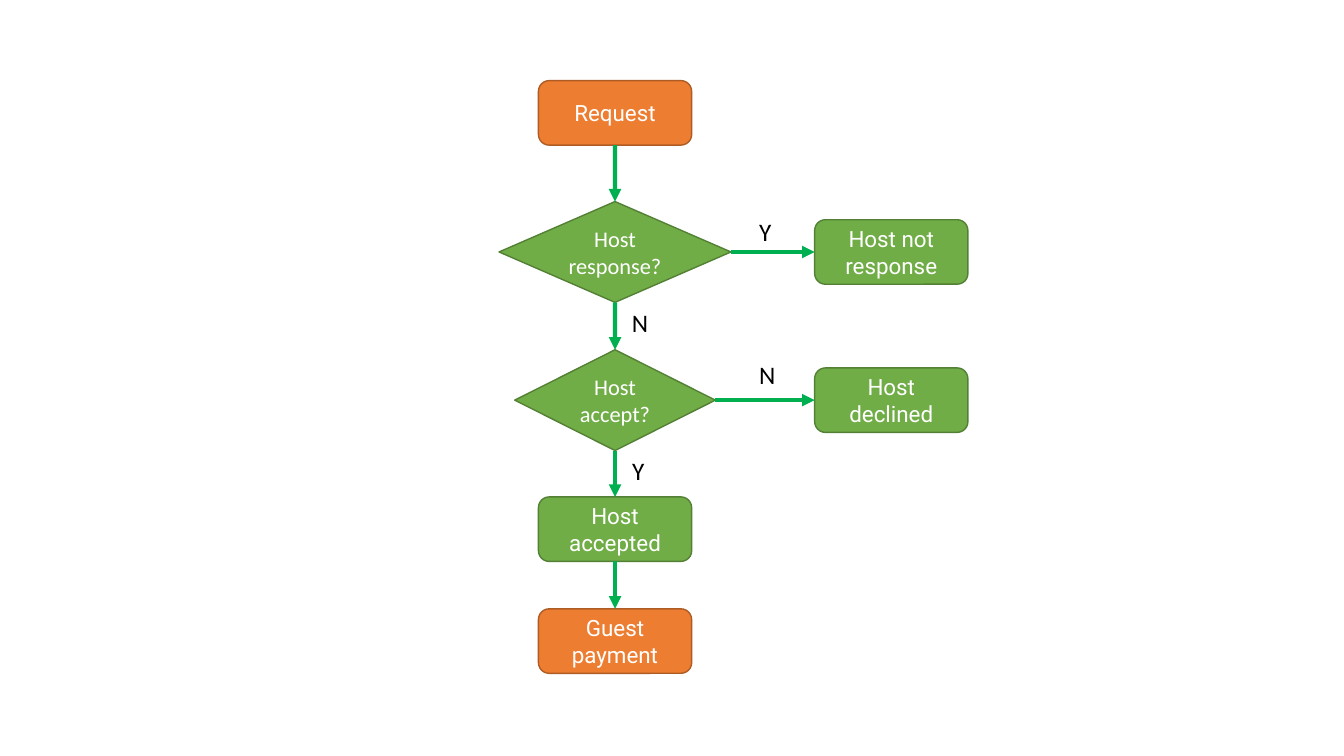
from lxml import etree
from pptx import Presentation
from pptx.dml.color import RGBColor
from pptx.enum.shapes import MSO_CONNECTOR, MSO_SHAPE
from pptx.enum.text import MSO_ANCHOR, PP_ALIGN
from pptx.oxml.ns import qn
from pptx.util import Inches, Pt

STRAIGHT = MSO_CONNECTOR.STRAIGHT
ROUNDED, DIAMOND = MSO_SHAPE.ROUNDED_RECTANGLE, MSO_SHAPE.DIAMOND
MIDDLE, TOP = MSO_ANCHOR.MIDDLE, MSO_ANCHOR.TOP
CENTER, LEFT = PP_ALIGN.CENTER, PP_ALIGN.LEFT
TOP_SIDE, LEFT_SIDE, BOTTOM_SIDE, RIGHT_SIDE = range(4)

ORANGE = ("ED7D31", "AF5C24")
GREEN = ("70AD47", "538035")
ARROW_GREEN = "00B050"
MAIN_X, SIDE_X = 6.1, 8.84
RESPONSE_Y, ACCEPT_Y = 2.5, 3.97


def rgb(value):
    """Return the colour for a hex string."""
    return RGBColor.from_string(value)


def write(sp, text, font="Calibri", size=16, color="FFFFFF", align=CENTER, anchor=MIDDLE, wrap=True):
    """Put formatted text into a shape."""
    tf = sp.text_frame
    tf.word_wrap = wrap
    tf.vertical_anchor = anchor
    p = tf.paragraphs[0]
    p.alignment = align
    r = p.add_run()
    r.text = text
    r.font.name = font
    r.font.size = Pt(size)
    r.font.color.rgb = rgb(color)


def add_node(s, kind, x, y, w, h, text, colors, font):
    """Add a flowchart node centred on x, y."""
    sp = s.shapes.add_shape(kind, Inches(x - w / 2), Inches(y - h / 2), Inches(w), Inches(h))
    sp.shadow.inherit = False
    fill, line = colors
    sp.fill.solid()
    sp.fill.fore_color.rgb = rgb(fill)
    sp.line.color.rgb = rgb(line)
    sp.line.width = Pt(1)
    write(sp, text, font=font)
    return sp


def add_step(s, x, y, text, colors=GREEN):
    """Add a rounded step box."""
    return add_node(s, ROUNDED, x, y, 1.52, 0.64, text, colors, "Roboto")


def add_decision(s, y, w, text):
    """Add a decision diamond on the main column."""
    return add_node(s, DIAMOND, MAIN_X, y, w, 1, text, GREEN, "Calibri")


def add_arrow(s, start, start_side, end, end_side):
    """Join two nodes with an arrow."""
    line = s.shapes.add_connector(STRAIGHT, 0, 0, 0, 0)
    line.begin_connect(start, start_side)
    line.end_connect(end, end_side)
    line.line.color.rgb = rgb(ARROW_GREEN)
    line.line.width = Pt(3)
    etree.SubElement(line.line._get_or_add_ln(), qn("a:tailEnd"), type="triangle")
    etree.SubElement(line._element.spPr, qn("a:effectLst"))


def add_label(s, x, y, text, w):
    """Add a branch label."""
    sp = s.shapes.add_textbox(Inches(x), Inches(y), Inches(w), Inches(0.4))
    write(sp, text, size=18, color="000000", align=LEFT, anchor=TOP, wrap=False)


def main():
    """Build the booking flowchart."""
    prs = Presentation()
    prs.slide_width, prs.slide_height = Inches(13.33), Inches(7.5)
    s = prs.slides.add_slide(prs.slide_layouts[6])

    request = add_step(s, MAIN_X, 1.12, "Request", ORANGE)
    response = add_decision(s, RESPONSE_Y, 2.3, "Host response?")
    accept = add_decision(s, ACCEPT_Y, 1.99, "Host accept?")
    accepted = add_step(s, MAIN_X, 5.25, "Host accepted")
    payment = add_step(s, MAIN_X, 6.36, "Guest payment", ORANGE)
    no_response = add_step(s, SIDE_X, RESPONSE_Y, "Host not response")
    declined = add_step(s, SIDE_X, ACCEPT_Y, "Host declined")

    column = [request, response, accept, accepted, payment]
    for upper, lower in zip(column, column[1:]):
        add_arrow(s, upper, BOTTOM_SIDE, lower, TOP_SIDE)
    for decision, outcome in ((response, no_response), (accept, declined)):
        add_arrow(s, decision, RIGHT_SIDE, outcome, LEFT_SIDE)

    add_label(s, 7.43, 2.1, "Y", 0.32)
    add_label(s, 6.17, 3, "N", 0.36)
    add_label(s, 7.43, 3.52, "N", 0.36)
    add_label(s, 6.17, 4.47, "Y", 0.32)
    prs.save("out.pptx")


if __name__ == "__main__":
    main()
